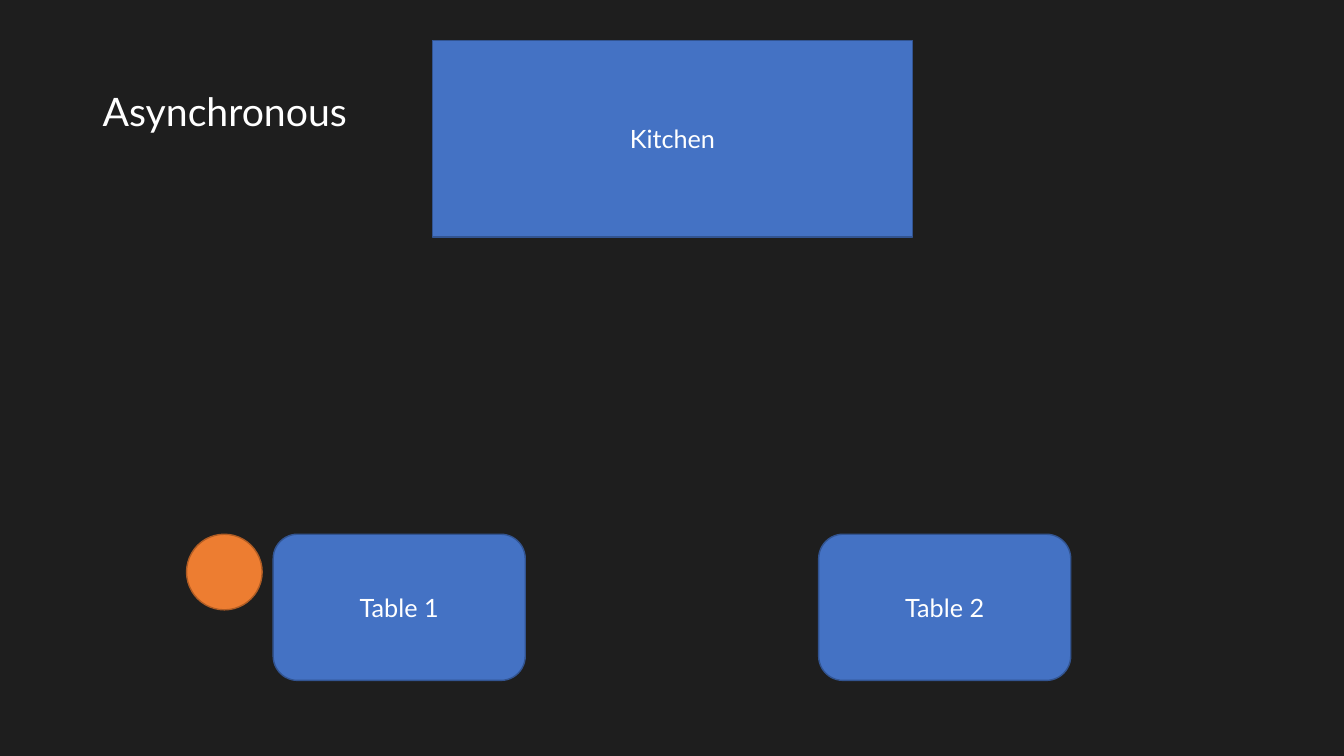
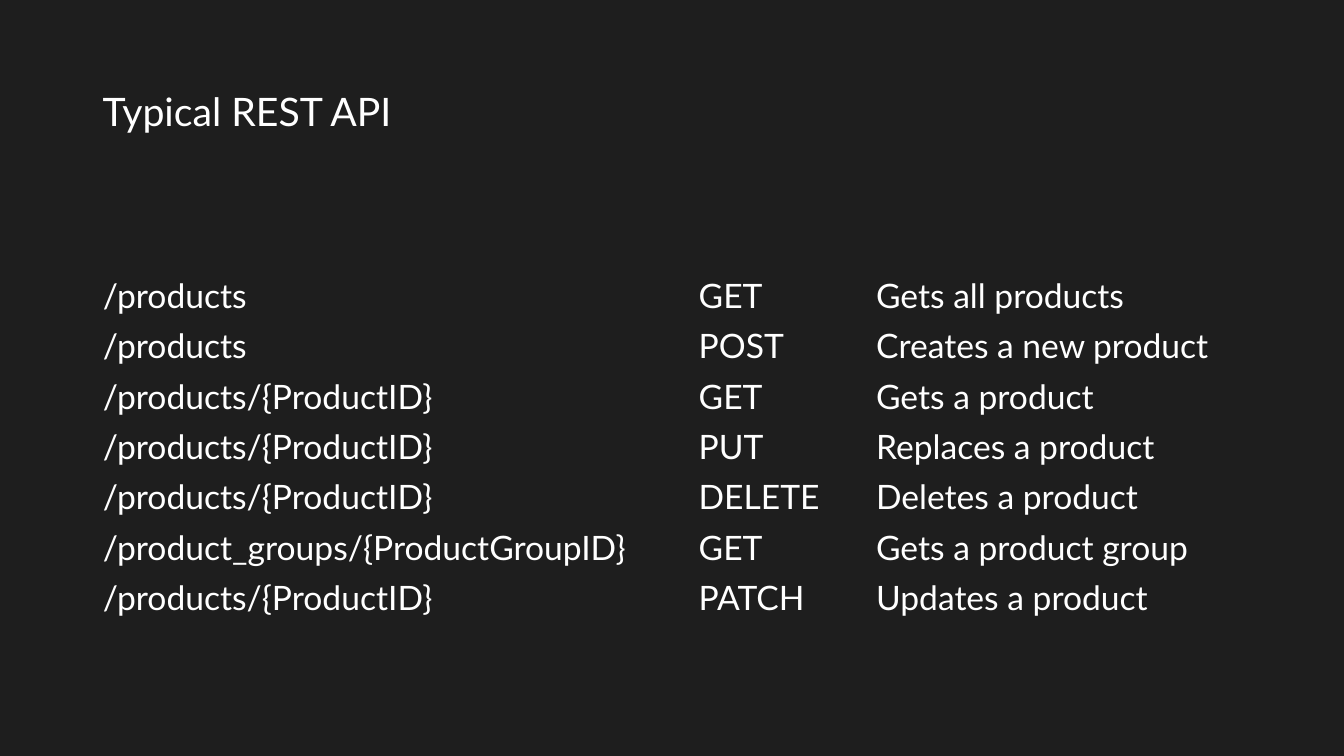
"""Build two dark slides: a restaurant analogy and a REST API overview."""

import dataclasses
import typing

import lxml.etree
import pptx
import pptx.dml.color
import pptx.enum.shapes
import pptx.enum.text
import pptx.oxml.ns
import pptx.presentation
import pptx.shapes.autoshape
import pptx.slide
import pptx.table
import pptx.text.text
import pptx.util

Inches = pptx.util.Inches
Pt = pptx.util.Pt
RGBColor = pptx.dml.color.RGBColor
ShapeKind = pptx.enum.shapes.MSO_SHAPE
Alignment = pptx.enum.text.PP_ALIGN
MIDDLE = pptx.enum.text.MSO_ANCHOR.MIDDLE

BACKGROUND = RGBColor(0x1E, 0x1E, 0x1E)
WHITE = RGBColor(0xFF, 0xFF, 0xFF)
BLUE = RGBColor(0x44, 0x72, 0xC4)
BLUE_EDGE = RGBColor(0x32, 0x54, 0x91)
ORANGE = RGBColor(0xED, 0x7D, 0x31)
ORANGE_EDGE = RGBColor(0xAF, 0x5C, 0x24)

FONT = "Lato"
MARGIN_LEFT = 0.92
CONTENT_WIDTH = 11.5
TABLES_TOP = 5.3
GRID_TOP = 2.68
ROW_HEIGHT = 0.5
COLUMN_WIDTHS = (5.91, 1.76, 3.83)


@dataclasses.dataclass(frozen=True)
class Figure:
    """One filled shape, measured in inches."""

    kind: ShapeKind
    left: float
    top: float
    width: float
    height: float
    label: str = ""
    fill: RGBColor = BLUE
    edge: RGBColor = BLUE_EDGE


class Endpoint(typing.NamedTuple):
    """One row of the API table."""

    route: str
    method: str
    effect: str


FIGURES = (
    *(
        Figure(ShapeKind.ROUNDED_RECTANGLE, left, TABLES_TOP, 2.5, 1.45, f"Table {number}")
        for number, left in enumerate((2.71, 8.12), start=1)
    ),
    Figure(ShapeKind.RECTANGLE, 4.29, 0.4, 4.76, 1.95, "Kitchen"),
    Figure(ShapeKind.OVAL, 1.85, TABLES_TOP, 0.75, 0.75, fill=ORANGE, edge=ORANGE_EDGE),
)

ENDPOINTS = (
    Endpoint("/products", "GET", "Gets all products"),
    Endpoint("/products", "POST", "Creates a new product"),
    Endpoint("/products/{ProductID}", "GET", "Gets a product"),
    Endpoint("/products/{ProductID}", "PUT", "Replaces a product"),
    Endpoint("/products/{ProductID}", "DELETE", "Deletes a product"),
    Endpoint("/product_groups/{ProductGroupID}", "GET", "Gets a product group"),
    Endpoint("/products/{ProductID}", "PATCH", "Updates a product"),
)


def write_text(
    frame: pptx.text.text.TextFrame, text: str, size: int, alignment: Alignment = Alignment.LEFT
) -> pptx.text.text._Paragraph:
    """Fill a text frame with one white paragraph."""
    frame.word_wrap = True
    paragraph = frame.paragraphs[0]
    paragraph.text = text
    paragraph.alignment = alignment
    paragraph.font.name = FONT
    paragraph.font.size = Pt(size)
    paragraph.font.color.rgb = WHITE
    return paragraph


def add_titled_slide(presentation: pptx.presentation.Presentation, title: str) -> pptx.slide.Slide:
    """Add a dark blank slide with its title."""
    slide = presentation.slides.add_slide(presentation.slide_layouts[6])
    slide.background.fill.solid()
    slide.background.fill.fore_color.rgb = BACKGROUND
    box = slide.shapes.add_textbox(
        Inches(MARGIN_LEFT), Inches(0.4), Inches(CONTENT_WIDTH), Inches(1.45)
    )
    box.text_frame.vertical_anchor = MIDDLE
    paragraph = write_text(box.text_frame, title, 28)
    paragraph.line_spacing = 0.9
    return slide


def add_figure(slide: pptx.slide.Slide, figure: Figure) -> pptx.shapes.autoshape.Shape:
    """Draw one figure with its optional label."""
    shape = slide.shapes.add_shape(
        figure.kind,
        Inches(figure.left),
        Inches(figure.top),
        Inches(figure.width),
        Inches(figure.height),
    )
    shape.shadow.inherit = False
    shape.fill.solid()
    shape.fill.fore_color.rgb = figure.fill
    shape.line.color.rgb = figure.edge
    shape.line.width = Pt(1)
    if figure.label:
        shape.text_frame.vertical_anchor = MIDDLE
        write_text(shape.text_frame, figure.label, 18, Alignment.CENTER)
    return shape


def clear_cell(cell: pptx.table._Cell) -> None:
    """Remove the borders and fill of a cell."""
    properties = cell._tc.get_or_add_tcPr()
    for side in ("a:lnL", "a:lnR", "a:lnT", "a:lnB"):
        border = lxml.etree.SubElement(properties, pptx.oxml.ns.qn(side))
        lxml.etree.SubElement(border, pptx.oxml.ns.qn("a:noFill"))
    cell.fill.background()


def add_endpoint_table(slide: pptx.slide.Slide, endpoints: typing.Sequence[Endpoint]) -> None:
    """Draw the endpoints as a plain table."""
    table = slide.shapes.add_table(
        len(endpoints),
        len(COLUMN_WIDTHS),
        Inches(MARGIN_LEFT),
        Inches(GRID_TOP),
        Inches(CONTENT_WIDTH),
        Inches(ROW_HEIGHT * len(endpoints)),
    ).table
    table.first_row = False
    table.horz_banding = False
    for column, width in zip(table.columns, COLUMN_WIDTHS):
        column.width = Inches(width)
    for row, endpoint in zip(table.rows, endpoints):
        row.height = Inches(ROW_HEIGHT)
        for cell, text in zip(row.cells, endpoint):
            clear_cell(cell)
            cell.vertical_anchor = MIDDLE
            cell.margin_top = cell.margin_bottom = Inches(0.04)
            write_text(cell.text_frame, text, 24)


def main() -> None:
    """Create and save the presentation."""
    presentation = pptx.Presentation()
    presentation.slide_width = Inches(13.33)
    presentation.slide_height = Inches(7.5)

    restaurant_slide = add_titled_slide(presentation, "Asynchronous")
    for figure in FIGURES:
        add_figure(restaurant_slide, figure)

    api_slide = add_titled_slide(presentation, "Typical REST API")
    add_endpoint_table(api_slide, ENDPOINTS)

    presentation.save("out.pptx")


if __name__ == "__main__":
    main()
